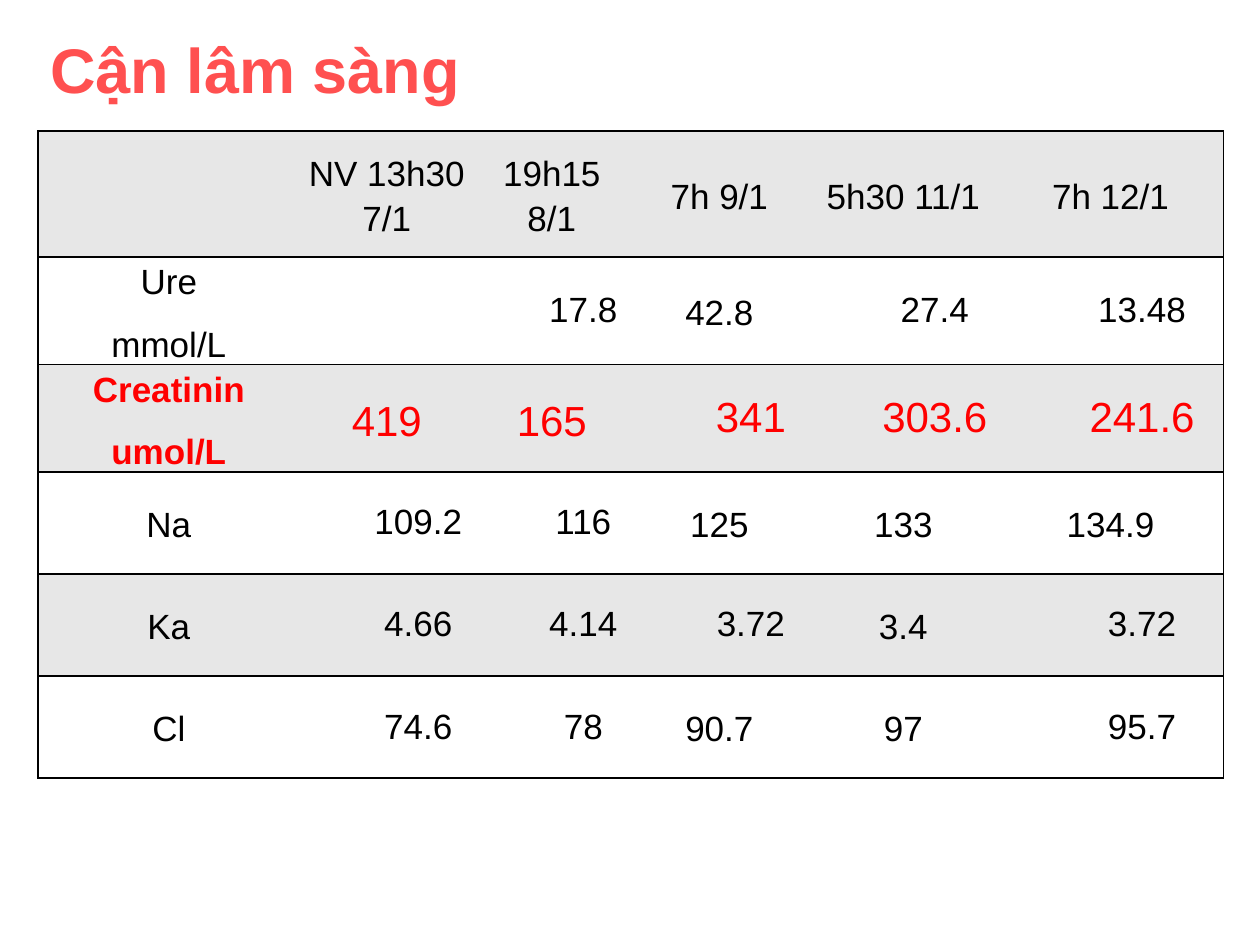
from dataclasses import dataclass

from lxml.etree import SubElement
from pptx import Presentation
from pptx.dml.color import RGBColor
from pptx.enum.text import MSO_ANCHOR, MSO_AUTO_SIZE, PP_ALIGN
from pptx.oxml.ns import qn
from pptx.util import Inches, Pt


@dataclass(frozen=True)
class Theme:
    font: str = "Arial"
    title_color: RGBColor = RGBColor(0xFF, 0x50, 0x50)
    text: RGBColor = RGBColor(0, 0, 0)
    alert: RGBColor = RGBColor(0xFF, 0, 0)
    band: RGBColor = RGBColor(0xE7, 0xE7, 0xE7)
    plain: RGBColor = RGBColor(0xFF, 0xFF, 0xFF)
    border: RGBColor = RGBColor(0, 0, 0)
    title_size: Pt = Pt(36)
    body_size: Pt = Pt(20)
    alert_size: Pt = Pt(24)
    border_width: Pt = Pt(1)


class LabSlide:
    def __init__(self, slide, theme):
        self.slide = slide
        self.theme = theme

    def style(self, paragraph, size, color, bold=False):
        font = paragraph.font
        font.name, font.size, font.bold = self.theme.font, size, bold
        font.color.rgb = color

    def title(self, text, left, top, width, height):
        title = self.slide.shapes.title
        title.left, title.top, title.width, title.height = map(
            Inches, (left, top, width, height))
        frame = title.text_frame
        frame.text = text
        frame.auto_size = MSO_AUTO_SIZE.NONE
        frame.vertical_anchor = MSO_ANCHOR.MIDDLE
        heading = frame.paragraphs[0]
        heading.alignment = PP_ALIGN.LEFT
        self.style(heading, self.theme.title_size, self.theme.title_color, True)

    def borders(self, cell, visible):
        properties = cell._tc.get_or_add_tcPr()
        for side in "LRTB":
            line = SubElement(properties, qn(f"a:ln{side}"),
                              w=str(self.theme.border_width))
            if side in visible:
                fill = SubElement(line, qn("a:solidFill"))
                SubElement(fill, qn("a:srgbClr"), val=str(self.theme.border))
            else:
                SubElement(line, qn("a:noFill"))

    def cell(self, cell, text, fill, margin, indented, size, color, bold):
        cell.fill.solid()
        cell.fill.fore_color.rgb = fill
        cell.vertical_anchor = MSO_ANCHOR.MIDDLE
        cell.margin_left = cell.margin_right = Inches(margin)
        cell.margin_top = cell.margin_bottom = 0
        cell.text = text
        for paragraph in cell.text_frame.paragraphs:
            paragraph.alignment = PP_ALIGN.CENTER
            if indented:
                paragraph._p.get_or_add_pPr().set("marL", str(Inches(0.5)))
            else:
                paragraph.line_spacing = 1.15
                paragraph.space_after = Pt(10)
            self.style(paragraph, size, color, bold)

    def table(self, rows, indented, alert_row, left, top, widths, heights):
        theme = self.theme
        table = self.slide.shapes.add_table(
            len(rows), len(widths), Inches(left), Inches(top),
            Inches(sum(widths)), Inches(sum(heights))).table
        table.first_row = table.horz_banding = False
        for column, width in zip(table.columns, widths):
            column.width = Inches(width)
        for r, (values, height) in enumerate(zip(rows, heights)):
            table.rows[r].height = Inches(height)
            alert = r == alert_row
            for c, text in enumerate(values):
                cell = table.cell(r, c)
                outer = {0: "L", len(widths) - 1: "R"}.get(c, "")
                self.borders(cell, "TB" + outer)
                self.cell(
                    cell, text,
                    fill=theme.plain if r % 2 else theme.band,
                    margin=0.06 if r <= alert_row else 0.07,
                    indented=c in indented[r],
                    size=theme.alert_size if alert and c else theme.body_size,
                    color=theme.alert if alert else theme.text,
                    bold=alert and c == 0)


# Lab results by time of sampling
RESULTS = [
    ["", "NV 13h30 7/1", "19h15 8/1", "7h 9/1", "5h30 11/1", "7h 12/1"],
    ["Ure\nmmol/L", "", "17.8", "42.8", "27.4", "13.48"],
    ["Creatinin\numol/L", "419", "165", "341", "303.6", "241.6"],
    ["Na", "109.2", "116", "125", "133", "134.9"],
    ["Ka", "4.66", "4.14", "3.72", "3.4", "3.72"],
    ["Cl", "74.6", "78", "90.7", "97", "95.7"],
]
# Columns whose values are indented, row by row
INDENTED = [(), (2, 4, 5), (3, 4, 5), (1, 2), (1, 2, 3, 5), (1, 2, 5)]


def main():
    deck = Presentation()
    deck.slide_width, deck.slide_height = Inches(10), Inches(7.5)
    title_only = deck.slide_layouts[5]
    labs = LabSlide(deck.slides.add_slide(title_only), Theme())

    # Results table
    labs.table(RESULTS, INDENTED, alert_row=2, left=0.3, top=1.04,
               widths=[2.08, 1.38, 1.24, 1.42, 1.5, 1.79],
               heights=[1, 0.67] + [0.81] * 4)

    # Heading
    labs.title("Cận lâm sàng", 0.3, 0.22, 9, 0.64)
    deck.save("out.pptx")


if __name__ == "__main__":
    main()
